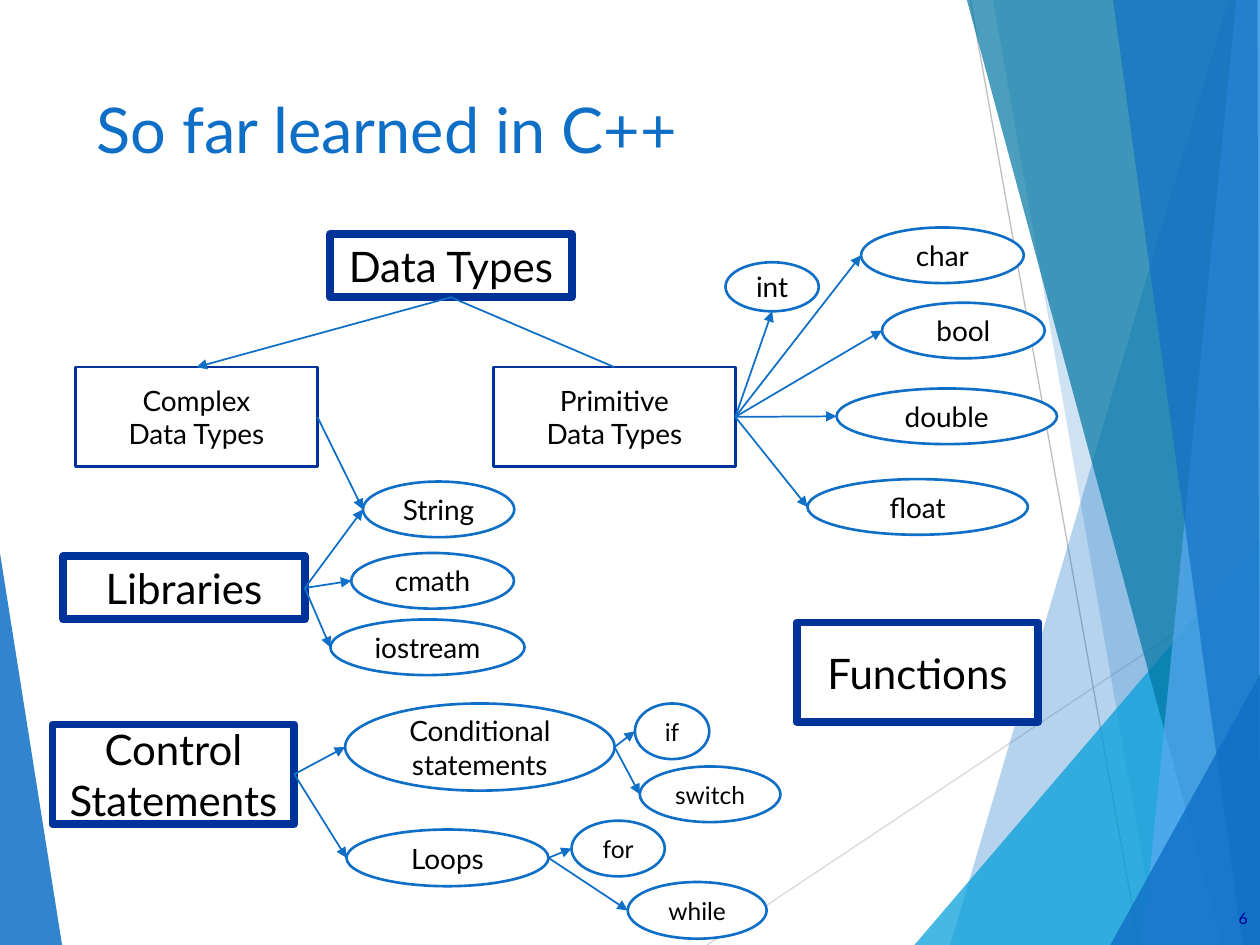
"""Build the slide that maps the C++ topics learned so far."""
from lxml import etree
from pptx import Presentation
from pptx.dml.color import RGBColor
from pptx.enum.shapes import MSO_CONNECTOR, MSO_SHAPE
from pptx.enum.text import MSO_ANCHOR, PP_ALIGN
from pptx.oxml.ns import qn
from pptx.util import Pt

RECT, OVAL = MSO_SHAPE.RECTANGLE, MSO_SHAPE.OVAL
STRAIGHT = MSO_CONNECTOR.STRAIGHT
TOP_ANCHOR, MIDDLE = MSO_ANCHOR.TOP, MSO_ANCHOR.MIDDLE
LEFT_ALIGN, CENTER, RIGHT_ALIGN = PP_ALIGN.LEFT, PP_ALIGN.CENTER, PP_ALIGN.RIGHT
TOP, LEFT, BOTTOM, RIGHT = range(4)
WIDTH, HEIGHT = 720, 540
BLUE, NAVY, WHITE, BLACK = "0F6FC6", "003399", "FFFFFF", "000000"
BOX_WIDTH, LOW, TALL, OVAL_HEIGHT = 138.2, 36, 56.9, 31.8

FACETS = [
    ([(0, 316), (35.5, 540), (0, 540)], BLUE, 85),
    ([(702, 0), (720, 0), (720, 540), (543, 540)], BLUE, 30),
    ([(567.5, 0), (720, 0), (720, 540), (661.5, 540)], BLUE, 20),
    ([(720, 309), (720, 540), (522.5, 540)], "009DD9", 72),
    ([(552.5, 0), (720, 0), (720, 540), (698.5, 540)], "0076A3", 70),
    ([(706.5, 0), (720, 0), (720, 540), (653, 540)], "59AAF2", 70),
    ([(636, 0), (718.5, 0), (720, 540), (710, 540)], BLUE, 65),
    ([(720, 385.5), (720, 540), (634.5, 540)], BLUE, 80),
]

TOPICS = [
    ("Data Types", 188.6, 133.9, LOW),
    ("Libraries", 36, 318, LOW),
    ("Control Statements", 30, 414, TALL),
    ("Functions", 455.2, 355.7, TALL),
]

KINDS = [("Complex\nData Types", 43.2), ("Primitive\nData Types", 282)]

ITEMS = [
    ("int", 414.6, 149.9, 53.3, 28, 16),
    ("bool", 504, 173, 93, OVAL_HEIGHT, 16),
    ("double", 478, 222, 126, OVAL_HEIGHT, 16),
    ("float", 461.4, 273.8, 126, OVAL_HEIGHT, 16),
    ("char", 492, 130, 93, OVAL_HEIGHT, 16),
    ("String", 207.4, 275.2, 86.5, OVAL_HEIGHT, 16),
    ("cmath", 200.7, 316, 93, OVAL_HEIGHT, 16),
    ("iostream", 188.8, 354, 111, OVAL_HEIGHT, 16),
    ("Conditional statements", 197.2, 402, 154, 49.8, 16),
    ("Loops", 198, 474, 115.4, 32.4, 16),
    ("if", 362.8, 402, 42.5, OVAL_HEIGHT, 14),
    ("switch", 365.6, 438, 80.4, OVAL_HEIGHT, 14),
    ("for", 326.6, 469, 53.3, OVAL_HEIGHT, 14),
    ("while", 358.7, 504, 79.4, 32.4, 14),
]

BRANCHES = [
    ("Complex\nData Types", ["String"]),
    ("Primitive\nData Types", ["char", "bool", "double", "float"]),
    ("Libraries", ["String", "cmath", "iostream"]),
    ("Control Statements", ["Conditional statements", "Loops"]),
    ("Conditional statements", ["if", "switch"]),
    ("Loops", ["for", "while"]),
]


def color(hex_value):
    """Turn a hex string into a colour."""
    return RGBColor.from_string(hex_value)


def side_point(shape, side):
    """Return the middle of one side of a shape."""
    across = {LEFT: 0, RIGHT: shape.width}.get(side, shape.width // 2)
    down = {TOP: 0, BOTTOM: shape.height}.get(side, shape.height // 2)
    return shape.left + across, shape.top + down


class TopicMap:
    """Hold the style and the current slide."""

    font = "Lato"

    def __init__(self, slide):
        """Start with no nodes."""
        self.slide = slide
        self.shapes = slide.shapes
        self.nodes = {}

    def label(self, frame, text, size, ink, align, anchor):
        """Fill a text frame and format its runs."""
        frame.text = text
        frame.word_wrap = True
        frame.vertical_anchor = anchor
        for paragraph in frame.paragraphs:
            paragraph.alignment = align
            for run in paragraph.runs:
                run.font.name = self.font
                run.font.size = Pt(size)
                run.font.color.rgb = color(ink)

    def title(self, text, left, top, width, height):
        """Place the title."""
        heading = self.shapes.title
        heading.left, heading.top = Pt(left), Pt(top)
        heading.width, heading.height = Pt(width), Pt(height)
        self.label(heading.text_frame, text, 36, BLUE, LEFT_ALIGN, TOP_ANCHOR)

    def facet(self, corners, fill, opacity):
        """Draw a translucent background polygon."""
        points = [(Pt(x), Pt(y)) for x, y in corners]
        builder = self.shapes.build_freeform(*points[0])
        builder.add_line_segments(points[1:])
        polygon = builder.convert_to_shape()
        polygon.shadow.inherit = False
        polygon.line.fill.background()
        polygon.fill.solid()
        polygon.fill.fore_color.rgb = color(fill)
        tint = polygon._element.spPr.find(qn("a:solidFill")).find(qn("a:srgbClr"))
        etree.SubElement(tint, qn("a:alpha"), val=str(opacity * 1000))

    def node(self, kind, text, left, top, width, height, size, outline, weight):
        """Draw a labelled white shape and remember it by its label."""
        shape = self.shapes.add_shape(kind, Pt(left), Pt(top), Pt(width), Pt(height))
        shape.shadow.inherit = False
        shape.fill.solid()
        shape.fill.fore_color.rgb = color(WHITE)
        shape.line.color.rgb = color(outline)
        shape.line.width = Pt(weight)
        self.label(shape.text_frame, text, size, BLACK, CENTER, MIDDLE)
        self.nodes[text] = shape

    def line(self, start, end, ink, weight):
        """Draw a straight line between two points."""
        connector = self.shapes.add_connector(STRAIGHT, *start, *end)
        connector.line.color.rgb = color(ink)
        connector.line.width = Pt(weight)
        etree.SubElement(connector._element.spPr, qn("a:effectLst"))
        return connector

    def link(self, parent, child, start_side=RIGHT, end_side=LEFT, arrow=True):
        """Link two nodes, joining the line to rectangles."""
        source, target = self.nodes[parent], self.nodes[child]
        start, end = side_point(source, start_side), side_point(target, end_side)
        connector = self.line(start, end, BLUE, 1)
        if source.auto_shape_type == RECT:
            connector.begin_connect(source, start_side)
        if target.auto_shape_type == RECT:
            connector.end_connect(target, end_side)
        if arrow:
            outline = connector._element.spPr.find(qn("a:ln"))
            etree.SubElement(outline, qn("a:tailEnd"), type="triangle")

    def page_number(self, text, left, top, width, height):
        """Place the page number."""
        box = self.shapes.add_textbox(Pt(left), Pt(top), Pt(width), Pt(height))
        self.label(box.text_frame, text, 9, "000099", RIGHT_ALIGN, MIDDLE)


def main():
    """Compose and save the slide."""
    deck = Presentation()
    deck.slide_width, deck.slide_height = Pt(WIDTH), Pt(HEIGHT)
    topic_map = TopicMap(deck.slides.add_slide(deck.slide_layouts[5]))
    topic_map.facet(*FACETS[0])
    topic_map.line((Pt(404), Pt(HEIGHT)), (Pt(WIDTH), Pt(329.5)), "D9D9D9", 0.75)
    topic_map.line((Pt(554.5), 0), (Pt(651), Pt(HEIGHT)), "BFBFBF", 0.75)
    for facet in FACETS[1:]:
        topic_map.facet(*facet)

    topic_map.title("So far learned in C++", 48, 48, 606, 104)
    for topic, left, top, height in TOPICS:
        topic_map.node(RECT, topic, left, top, BOX_WIDTH, height, 24, NAVY, 4.5)
    for kind, left in KINDS:
        topic_map.node(RECT, kind, left, 209.8, BOX_WIDTH, TALL, 16, NAVY, 1.5)
    for item in ITEMS:
        topic_map.node(OVAL, *item, BLUE, 1.5)

    topic_map.link("Data Types", "Primitive\nData Types", BOTTOM, TOP, arrow=False)
    topic_map.link("Data Types", "Complex\nData Types", BOTTOM, TOP)
    topic_map.link("Primitive\nData Types", "int", RIGHT, BOTTOM)
    for parent, children in BRANCHES:
        for child in children:
            topic_map.link(parent, child)
    topic_map.page_number("6", 680, 510.5, 40, 28.8)
    deck.save("out.pptx")


if __name__ == "__main__":
    main()
